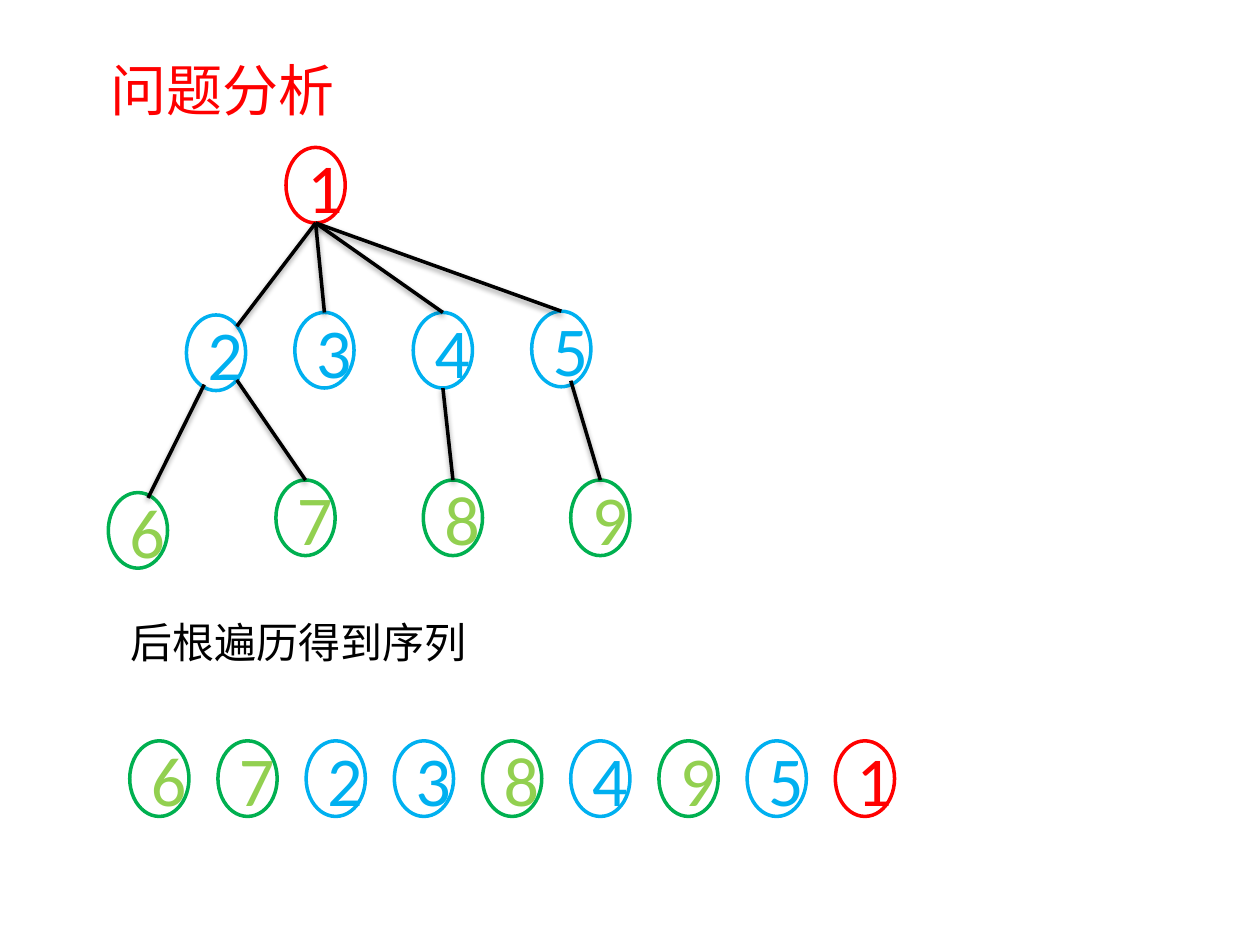
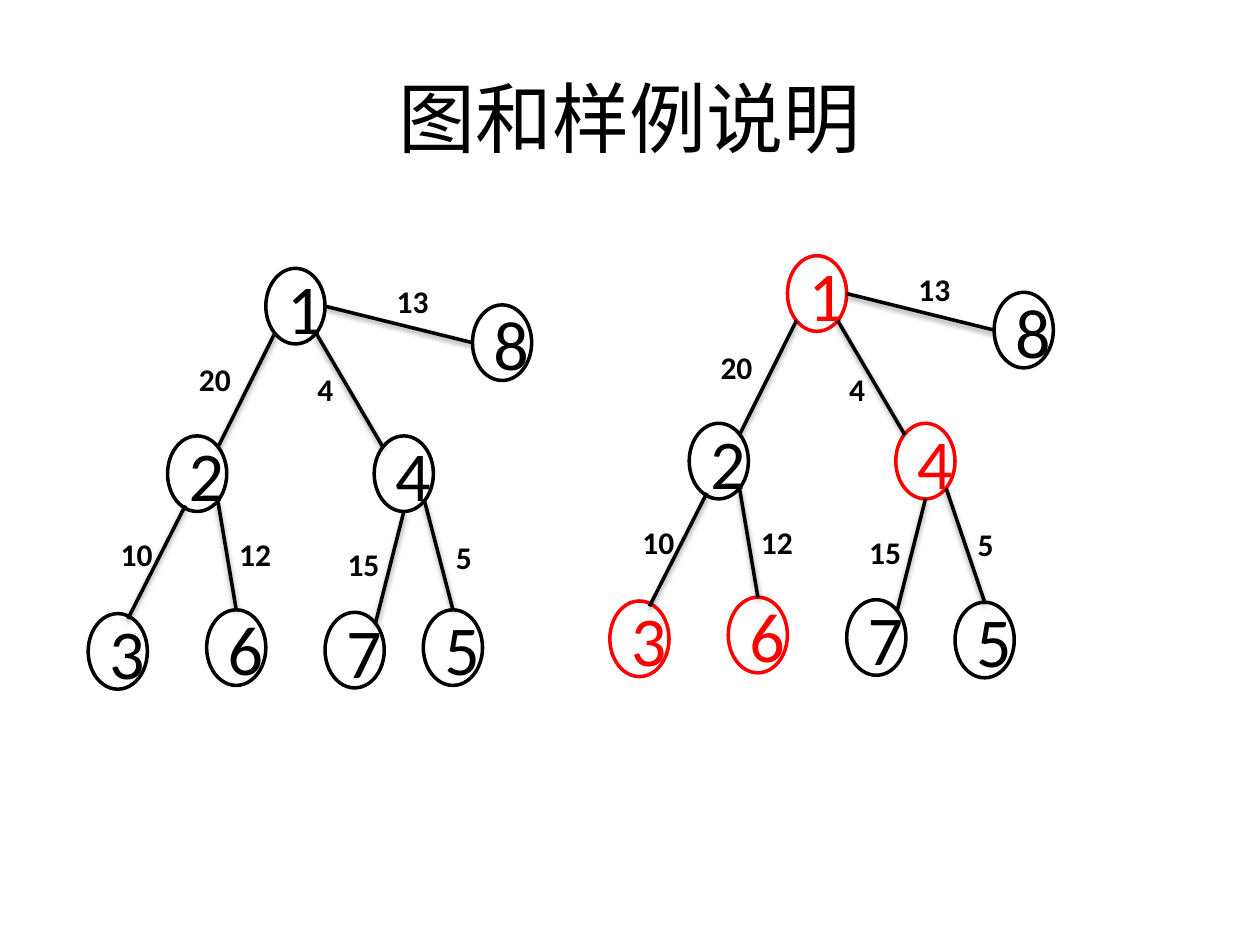
from lxml.etree import fromstring
from pptx import Presentation
from pptx.dml.color import RGBColor
from pptx.enum.shapes import MSO_CONNECTOR as CONNECTOR, MSO_SHAPE as SHAPE
from pptx.enum.text import MSO_ANCHOR as ANCHOR, MSO_AUTO_SIZE as AUTO_SIZE, PP_ALIGN as ALIGN
from pptx.util import Inches, Pt

BLACK = RGBColor(0x00, 0x00, 0x00)
RED = RGBColor(0xFF, 0x00, 0x00)
BLUE = RGBColor(0x00, 0xB0, 0xF0)
GREEN = RGBColor(0x00, 0xB0, 0x50)
LIME = RGBColor(0x92, 0xD0, 0x50)

FONT = "Calibri"
NODE_W, NODE_H = 0.47, 0.6
LINE_WIDTH = Pt(2)
LABEL_W, LABEL_H = 0.55, 0.4

ANCHORS = {
    "top": (0.5, 0),
    "bottom": (0.5, 1),
    "left": (0, 0.5),
    "right": (1, 0.5),
    "top left": (0.15, 0.15),
    "top right": (0.85, 0.15),
    "bottom left": (0.15, 0.86),
    "bottom right": (0.85, 0.86),
    "low left": (0.3, 0.92),
    "low right": (0.66, 0.92),
    "high right": (0.67, 0.07),
}

EDGE_SHADOW = (
    '<a:effectLst xmlns:a="http://schemas.openxmlformats.org/drawingml/2006/main">'
    '<a:outerShdw blurRad="40000" dist="20000" dir="5400000" rotWithShape="0">'
    '<a:srgbClr val="000000"><a:alpha val="38000"/></a:srgbClr>'
    '</a:outerShdw></a:effectLst>'
)

TRAVERSAL_NODES = {
    "1": (1.41, 0), "2": (0.62, 1.33), "3": (1.48, 1.31),
    "4": (2.42, 1.31), "5": (3.36, 1.3), "6": (0, 2.74),
    "7": (1.33, 2.64), "8": (2.5, 2.64), "9": (3.67, 2.64),
}
TRAVERSAL_EDGES = [
    ("1", "bottom", "2", "top right"),
    ("1", "bottom", "3", "top"),
    ("1", "bottom", "4", "top"),
    ("1", "bottom", "5", "top"),
    ("2", "low left", "6", "high right"),
    ("2", "bottom right", "7", "top"),
    ("4", "bottom", "8", "top"),
    ("5", "low right", "9", "top"),
]
LEVEL_COLOURS = {
    "1": (RED, RED),
    **dict.fromkeys("2345", (BLUE, BLUE)),
    **dict.fromkeys("6789", (GREEN, LIME)),
}
POSTORDER = "672384951"

SAMPLE_NODES = {
    "1": (1.41, 0), "2": (0.63, 1.33), "3": (0, 2.74), "4": (2.27, 1.33),
    "5": (2.66, 2.71), "6": (0.94, 2.71), "7": (1.88, 2.73), "8": (3.05, 0.29),
}
SAMPLE_EDGES = [
    ("1", "bottom left", "2", "top right"),
    ("1", "bottom right", "4", "top left"),
    ("1", "right", "8", "left"),
    ("2", "low left", "3", "high right"),
    ("2", "bottom right", "6", "top"),
    ("4", "bottom", "7", "top right"),
    ("4", "bottom right", "5", "top"),
]
SAMPLE_WEIGHTS = {
    "20": (0.78, 0.68), "10": (0.16, 2.07), "12": (1.1, 2.07), "15": (1.96, 2.15),
    "4": (1.72, 0.76), "13": (2.35, 0.06), "5": (2.82, 2.09),
}


def style(paragraph, size, colour, bold=False):
    font = paragraph.font
    font.name, font.size, font.bold = FONT, Pt(size), bold
    font.color.rgb = colour


def add_text(slide, text, left, top, width, height, size, colour=BLACK, bold=False):
    box = slide.shapes.add_textbox(Inches(left), Inches(top), Inches(width), Inches(height))
    frame = box.text_frame
    frame.word_wrap = True
    frame.auto_size = AUTO_SIZE.SHAPE_TO_FIT_TEXT
    frame.text = text
    style(frame.paragraphs[0], size, colour, bold)
    return frame


def add_node(slide, number, left, top, outline, ink):
    node = slide.shapes.add_shape(
        SHAPE.OVAL, Inches(left), Inches(top), Inches(NODE_W), Inches(NODE_H))
    node.shadow.inherit = False
    node.fill.background()
    node.line.color.rgb = outline
    node.line.width = LINE_WIDTH
    frame = node.text_frame
    frame.text = number
    frame.vertical_anchor = ANCHOR.MIDDLE
    frame.paragraphs[0].alignment = ALIGN.CENTER
    style(frame.paragraphs[0], 40, ink)


def add_edge(slide, start, end):
    edge = slide.shapes.add_connector(
        CONNECTOR.STRAIGHT, *(Inches(value) for value in start + end))
    edge.line.color.rgb = BLACK
    edge.line.width = LINE_WIDTH
    edge._element.spPr.append(fromstring(EDGE_SHADOW))


def draw_tree(slide, left, top, nodes, edges, colours):
    def anchor_point(number, anchor):
        x, y = nodes[number]
        across, down = ANCHORS[anchor]
        return left + x + across * NODE_W, top + y + down * NODE_H

    for number, (x, y) in nodes.items():
        add_node(slide, number, left + x, top + y, *colours.get(number, (BLACK, BLACK)))
    for parent, leaving, child, arriving in edges:
        add_edge(slide, anchor_point(parent, leaving), anchor_point(child, arriving))


def draw_sequence(slide, left, top, numbers, colours, pitch=0.7):
    for index, number in enumerate(numbers):
        add_node(slide, number, left + index * pitch, top, *colours[number])


def draw_weighted_tree(slide, left, top, nodes, weights, chosen=""):
    draw_tree(slide, left, top, nodes, SAMPLE_EDGES, dict.fromkeys(chosen, (RED, RED)))
    for weight, (x, y) in weights.items():
        add_text(slide, weight, left + x, top + y, LABEL_W, LABEL_H, 18, bold=True)


def build_analysis(slide):
    add_text(slide, "问题分析", 0.78, 0.39, 4.69, 0.64, 32, RED)
    draw_tree(slide, 0.86, 1.17, TRAVERSAL_NODES, TRAVERSAL_EDGES, LEVEL_COLOURS)
    add_text(slide, "后根遍历得到序列", 0.94, 4.84, 5.31, 0.51, 24)
    draw_sequence(slide, 1.03, 5.88, POSTORDER, LEVEL_COLOURS)


def build_sample(slide):
    title = add_text(slide, "图和样例说明", 0.5, 0.3, 9, 1.25, 44)
    title.auto_size = AUTO_SIZE.NONE
    title.vertical_anchor = ANCHOR.MIDDLE
    title.paragraphs[0].alignment = ALIGN.CENTER
    draw_weighted_tree(slide, 0.7, 2.13, SAMPLE_NODES, SAMPLE_WEIGHTS)
    draw_weighted_tree(
        slide, 4.84, 2.03,
        {**SAMPLE_NODES, "5": (2.74, 2.75)},
        {**SAMPLE_WEIGHTS, "4": (1.8, 0.86)},
        chosen="1436")


deck = Presentation()
deck.slide_width, deck.slide_height = Inches(10), Inches(7.5)
for build in (build_analysis, build_sample):
    build(deck.slides.add_slide(deck.slide_layouts[6]))
deck.save("out.pptx")
